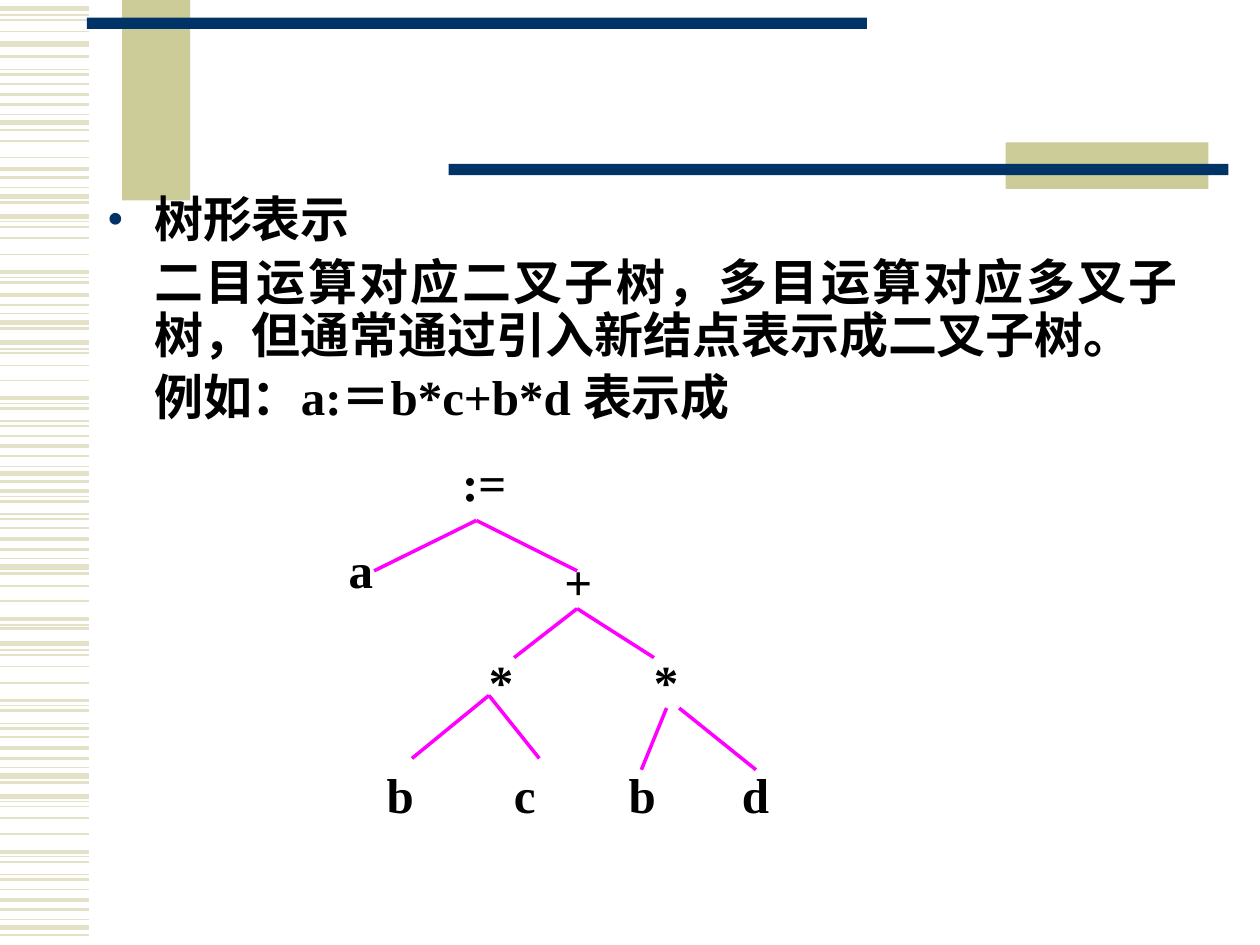
from dataclasses import dataclass
from typing import NamedTuple

from lxml import etree
from pptx import Presentation
from pptx.dml.color import RGBColor
from pptx.enum import shapes, text
from pptx.oxml import ns
from pptx.util import Pt


@dataclass(frozen=True)
class Theme:
    stripe: str = "E3E2C7"
    block: str = "CCCC99"
    bar: str = "003366"
    branch: str = "FF00FF"
    ink: str = "000000"
    font: str = "Times New Roman"
    size: float = 28
    branch_width: float = 2


class Block(NamedTuple):
    left: float
    top: float
    width: float
    height: float
    color: str


class Line(NamedTuple):
    x1: float
    y1: float
    x2: float
    y2: float
    color: str
    width: float


class Node(NamedTuple):
    label: str
    left: float
    top: float


class Fork(NamedTuple):
    x: float
    y: float
    ends: tuple


THEME = Theme()
STRIPE_LENGTH = 51.1
NODE_WIDTH, NODE_HEIGHT = 51.1, 41
BODY_INDENT = 27

# Heights of the margin stripes, by line width
STRIPES = {
    3: (5, 25.2, 69.8, 112.3, 123.8, 184.3, 195.8, 270.7, 324, 367.9, 443.5,
        455, 529.9),
    2.25: (54, 96.5, 155.5, 168.5, 227.5, 254.9, 280.8, 308.2, 353.5, 400.3,
           427.7, 486.7, 514.1),
    1.5: (32.4, 42.5, 59.8, 74.2, 101.5, 115.9, 161.3, 174.2, 187.9, 233.3,
          243.4, 260.6, 275, 286.6, 296.6, 313.9, 327.6, 359.3, 406.1, 416.2,
          433.4, 447.1, 492.5, 502.6, 519.8, 534.2),
    1: (11.5, 18, 48.2, 80.6, 90, 129.6, 136.1, 145.4, 201.6, 208.8, 217.4,
        249.1, 301.7, 334.8, 343.4, 374.4, 380.9, 390.2, 421.2, 460.8, 467.3,
        476.6, 508.3),
    0.75: (8.6, 39.6, 65.5, 107.3, 126.7, 158.4, 179.3, 199.4, 230.4, 240.5,
           266.4, 283.7, 293.8, 319, 357.1, 371.5, 403.2, 413.3, 438.5, 457.9,
           489.6, 499.7, 525.6),
}

BLOCKS = (
    Block(69.8, 0, 38.9, 114.5, THEME.block),
    Block(49.7, 10.1, 445.7, 6.5, THEME.bar),
    Block(574.6, 81.4, 115.9, 26.6, THEME.block),
    Block(256.3, 93.6, 445.7, 6.5, THEME.bar),
)

LEAF_TOP = 433.4
NODES = (
    Node(":=", 257, 254.9),
    Node("a", 192.2, 304.6),
    Node("+", 315.4, 311.8),
    Node("*", 272.2, 368.6),
    Node("*", 366.5, 368.6),
    Node("b", 213.8, LEAF_TOP),
    Node("c", 286.6, LEAF_TOP),
    Node("b", 352.1, LEAF_TOP),
    Node("d", 416.9, LEAF_TOP),
)

FORKS = (
    Fork(272.2, 297.4, ((213.8, 326.2), (329.8, 326.2))),
    Fork(329.8, 347.8, ((293.8, 375.8), (373.7, 375.8))),
    Fork(279.4, 397.4, ((235.4, 433.4), (308.2, 433.4))),
    Fork(380.9, 404.6, ((366.5, 439.9),)),
    Fork(388.1, 404.6, ((432, 439.9),)),
)

JUSTIFY = text.PP_ALIGN.JUSTIFY
BODY = (
    ("树形表示", dict(bullet="•", align=JUSTIFY)),
    ("二目运算对应二叉子树，多目运算对应多叉子树，但通常通过引入新结点表示成二叉子树。",
     dict(align=JUSTIFY, before=5.6)),
    ("例如：a:＝b*c+b*d 表示成", dict(before=5.6)),
)


def draw_block(s, block: Block) -> None:
    sp = s.shapes.add_shape(shapes.MSO_SHAPE.RECTANGLE, Pt(block.left), Pt(block.top),
                            Pt(block.width), Pt(block.height))
    sp.shadow.inherit = False
    sp.fill.solid()
    sp.fill.fore_color.rgb = RGBColor.from_string(block.color)
    sp.line.fill.background()


def draw_line(s, line: Line) -> None:
    cxn = s.shapes.add_connector(shapes.MSO_CONNECTOR.STRAIGHT, Pt(line.x1), Pt(line.y1),
                                 Pt(line.x2), Pt(line.y2))
    cxn.line.color.rgb = RGBColor.from_string(line.color)
    cxn.line.width = Pt(line.width)
    etree.SubElement(cxn._element.spPr, ns.qn("a:effectLst"))


def add_text_frame(s, left: float, top: float, width: float, height: float):
    tf = s.shapes.add_textbox(Pt(left), Pt(top), Pt(width), Pt(height)).text_frame
    tf.word_wrap = True
    return tf


def write(p, content: str, *, align=None, before: float = 0, spacing: float = 1,
          indent: float = 0, bullet: str = "") -> None:
    """Fill a paragraph; a bullet hangs in the space left by the indent."""
    p.alignment = align
    p.line_spacing = spacing
    p.space_before = Pt(before)
    pPr = p._p.get_or_add_pPr()
    pPr.set("marL", str(Pt(indent)))
    pPr.set("indent", str(Pt(-indent if bullet else 0)))
    if bullet:
        color = etree.SubElement(pPr, ns.qn("a:buClr"))
        etree.SubElement(color, ns.qn("a:srgbClr"), val=THEME.bar)
        etree.SubElement(pPr, ns.qn("a:buFont"), typeface=THEME.font)
        etree.SubElement(pPr, ns.qn("a:buChar"), char=bullet)
    r = p.add_run()
    r.text = content
    r.font.name = THEME.font
    r.font.size = Pt(THEME.size)
    r.font.bold = True
    r.font.color.rgb = RGBColor.from_string(THEME.ink)


def draw_body(s) -> None:
    tf = add_text_frame(s, 54, 108, 626.4, 154)
    for i, (content, style) in enumerate(BODY):
        p = tf.add_paragraph() if i else tf.paragraphs[0]
        write(p, content, indent=BODY_INDENT, spacing=0.9, **style)


def draw_node(s, node: Node) -> None:
    tf = add_text_frame(s, node.left, node.top, NODE_WIDTH, NODE_HEIGHT)
    write(tf.paragraphs[0], node.label)


def draw_fork(s, fork: Fork) -> None:
    for x, y in fork.ends:
        draw_line(s, Line(fork.x, fork.y, x, y, THEME.branch, THEME.branch_width))


def main() -> None:
    prs = Presentation()
    prs.slide_width, prs.slide_height = Pt(720), Pt(540)
    s = prs.slides.add_slide(prs.slide_layouts[6])
    for width, heights in STRIPES.items():
        for y in heights:
            draw_line(s, Line(0, y, STRIPE_LENGTH, y, THEME.stripe, width))
    for block in BLOCKS:
        draw_block(s, block)
    draw_body(s)
    for node in NODES:
        draw_node(s, node)
    for fork in FORKS:
        draw_fork(s, fork)
    prs.save("out.pptx")


if __name__ == "__main__":
    main()
